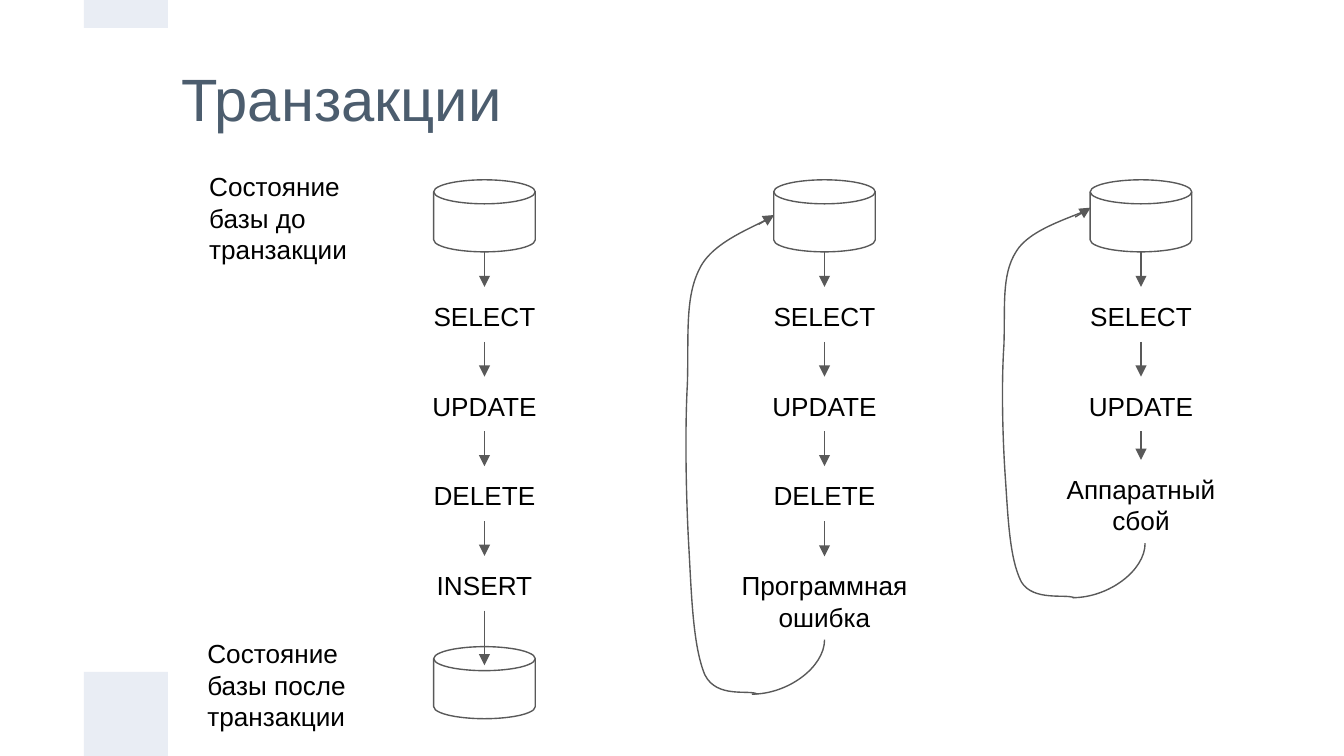
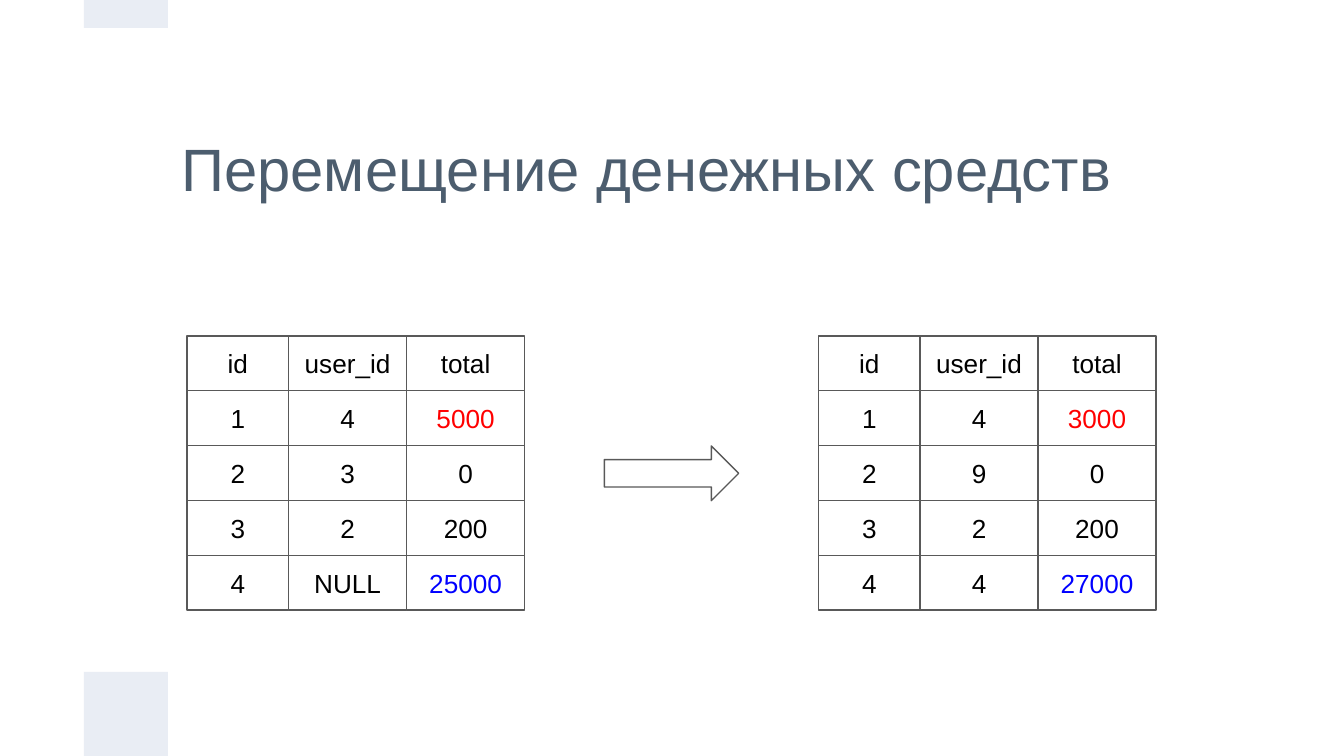
"""Build two slides on database transactions: step flows and a money transfer."""
import dataclasses
import typing

import lxml.etree
import pptx
import pptx.dml.color
import pptx.enum.shapes
import pptx.enum.text
import pptx.oxml.ns
import pptx.util

qn = pptx.oxml.ns.qn
SHAPE = pptx.enum.shapes.MSO_SHAPE
CONNECTOR = pptx.enum.shapes.MSO_CONNECTOR
ANCHOR = pptx.enum.text.MSO_ANCHOR
ALIGN = pptx.enum.text.PP_ALIGN

WIDTH, HEIGHT = pptx.util.Inches(10), pptx.util.Inches(5.625)
COLS, ROWS = 100, 56.25
COLORS = {"title": "4C5D6E", "band": "E9EDF4", "line": "595959",
          "text": "000000", "debit": "FF0000", "credit": "0000FF"}
FONT = "Arial"
LINE_WIDTH = pptx.util.Pt(0.75)
INSET = pptx.util.Inches(0.1)
FRAME = {"word_wrap": True, "auto_size": pptx.enum.text.MSO_AUTO_SIZE.NONE,
         "margin_left": INSET, "margin_right": INSET,
         "margin_top": INSET, "margin_bottom": INSET}
MIDDLE_FRAME = {**FRAME, "vertical_anchor": ANCHOR.MIDDLE}

STEP_TOP, STEP_GAP, STEP_H = 21.35, 6.67, 4.08
DISK_TOP, DISK_W, DISK_H = 13.38, 7.56, 5.36
STEP_W, FAIL_W, FAIL_H = 11.3, 16.4, 6.2
ROLLBACK = [(-5, 1), (-5.6, .99), (-8, 1.01), (-8.9, .96),
            (-9.8, .9), (-9.9, .79), (-10.1, .69),
            (-10.3, .59), (-10.4, .45), (-10.2, .35),
            (-10.1, .25), (-10.4, .17), (-9.3, .11),
            (-8.3, .05), (-4.9, .02), (-3.9, 0)]


class Box(typing.NamedTuple):
    """A rectangle in grid columns and rows."""
    left: float
    top: float
    width: float
    height: float

    def emu(self) -> list[int]:
        """Return the rectangle in slide lengths."""
        return [*emu(self.left, self.top), *emu(self.width, self.height)]


@dataclasses.dataclass(frozen=True)
class Flow:
    """A column of statements under a database disk."""
    center: float
    steps: tuple[str, ...]
    failure: str = ""
    fail_top: float = 0
    loop_top: float = 0
    loop_shift: float = 0


@dataclasses.dataclass(frozen=True)
class Account:
    """A grid of account rows and its left column."""
    left: float
    rows: tuple[tuple[str, ...], ...]


FLOWS = [
    Flow(36.05, ("SELECT", "UPDATE", "DELETE", "INSERT")),
    Flow(61.35, ("SELECT", "UPDATE", "DELETE"), "Программная ошибка", 41.4, 16.1),
    Flow(84.9, ("SELECT", "UPDATE"), "Аппаратный сбой", 34.22, 15.55, .3),
]
HEADER = ("id", "user_id", "total")
ACCOUNTS = [
    Account(13.92, (HEADER, ("1", "4", "5000"), ("2", "3", "0"),
                    ("3", "2", "200"), ("4", "NULL", "25000"))),
    Account(60.9, (HEADER, ("1", "4", "3000"), ("2", "9", "0"),
                   ("3", "2", "200"), ("4", "4", "27000"))),
]
CELL_WIDTHS, CELL_TOP, CELL_H = (7.56, 8.78, 8.78), 25, 4.08
CELL_COLORS = {(1, 2): "debit", (4, 2): "credit"}


def emu(x: float, y: float) -> tuple[int, int]:
    """Turn grid columns and rows into slide lengths."""
    return round(x * WIDTH / COLS), round(y * HEIGHT / ROWS)


def rgb(name: str) -> pptx.dml.color.RGBColor:
    """Look up a named colour."""
    return pptx.dml.color.RGBColor.from_string(COLORS[name])


def assign(obj: typing.Any, values: dict[str, typing.Any]) -> None:
    """Set every attribute of a format dict."""
    for name, value in values.items():
        setattr(obj, name, value)


def write(tf: typing.Any, text: str, size: float = 14, color: str = "text",
          align: typing.Any = ALIGN.CENTER) -> None:
    """Fill a text frame with one formatted paragraph."""
    p = tf.paragraphs[0]
    p.alignment = align
    r = p.add_run()
    r.text = text
    assign(r.font, {"name": FONT, "size": pptx.util.Pt(size)})
    r.font.color.rgb = rgb(color)


def outline(line: typing.Any) -> None:
    """Give a line the shared colour and width."""
    line.color.rgb = rgb("line")
    line.width = LINE_WIDTH


def add_text(slide: typing.Any, box: Box, text: str,
             align: typing.Any = ALIGN.CENTER) -> None:
    """Add a wrapped text box."""
    tf = slide.shapes.add_textbox(*box.emu()).text_frame
    assign(tf, FRAME)
    write(tf, text, align=align)


def hollow(sp: typing.Any) -> None:
    """Leave a shape with only its outline."""
    sp.shadow.inherit = False
    sp.fill.background()
    outline(sp.line)


def add_outlined(slide: typing.Any, kind: typing.Any, box: Box) -> typing.Any:
    """Add an unfilled preset shape."""
    sp = slide.shapes.add_shape(kind, *box.emu())
    hollow(sp)
    return sp


def add_line(slide: typing.Any, start: tuple[float, float], end: tuple[float, float],
             kind: typing.Any = CONNECTOR.STRAIGHT, arrow: bool = True) -> typing.Any:
    """Add a connector, with an arrowhead at its end if asked."""
    cxn = slide.shapes.add_connector(kind, *emu(*start), *emu(*end))
    outline(cxn.line)
    sp_pr = cxn._element.spPr
    if arrow:
        lxml.etree.SubElement(sp_pr.find(qn("a:ln")), qn("a:tailEnd"), type="triangle")
    lxml.etree.SubElement(sp_pr, qn("a:effectLst"))
    return cxn


def add_hook(slide: typing.Any, start: tuple[float, float],
             end: tuple[float, float]) -> None:
    """Add a quarter curve that leaves downwards and arrives leftwards."""
    mid_x, mid_y = (start[0] + end[0]) / 2, (start[1] + end[1]) / 2
    half_w, half_h = (end[1] - start[1]) / 2, (start[0] - end[0]) / 2
    cxn = add_line(slide, (mid_x - half_w, mid_y - half_h),
                   (mid_x + half_w, mid_y + half_h), CONNECTOR.CURVE, False)
    sp_pr = cxn._element.spPr
    sp_pr.find(qn("a:xfrm")).set("rot", "5400000")
    sp_pr.find(qn("a:prstGeom")).set("prst", "curvedConnector2")


def add_curve(slide: typing.Any, points: list[tuple[float, float]]) -> None:
    """Add an open curve from a start point and triples of Bezier points."""
    start, *rest = [emu(*point) for point in points]
    builder = slide.shapes.build_freeform(*start)
    builder.add_line_segments(rest, close=False)
    sp = builder.convert_to_shape()
    hollow(sp)
    track = sp._element.find(".//" + qn("a:path"))
    segments = track.findall(qn("a:lnTo"))
    for i in range(0, len(segments), 3):
        bezier = lxml.etree.SubElement(track, qn("a:cubicBezTo"))
        for segment in segments[i:i + 3]:
            bezier.append(segment[0])
            track.remove(segment)


def add_disk(slide: typing.Any, center: float, top: float) -> None:
    """Add a database disk centred on a column."""
    add_outlined(slide, SHAPE.FLOWCHART_MAGNETIC_DISK,
                 Box(center - DISK_W / 2, top, DISK_W, DISK_H))


def add_flow(slide: typing.Any, flow: Flow) -> None:
    """Draw a disk, its statements, and the commit or rollback."""
    x = flow.center
    add_disk(slide, x, DISK_TOP)
    bottom = DISK_TOP + DISK_H
    for i, step in enumerate(flow.steps):
        top = STEP_TOP + i * STEP_GAP
        add_text(slide, Box(x - STEP_W / 2, top, STEP_W, STEP_H), step)
        add_line(slide, (x, bottom), (x, top))
        bottom = top + STEP_H
    if not flow.failure:
        add_disk(slide, x, 48.12)
        add_line(slide, (x, bottom), (x, 49.5))
        return
    add_text(slide, Box(x - FAIL_W / 2, flow.fail_top, FAIL_W, FAIL_H), flow.failure)
    add_line(slide, (x, bottom), (x, flow.fail_top))
    fail_end = flow.fail_top + FAIL_H
    low, high = fail_end + 4.05, flow.loop_top
    add_hook(slide, (x + flow.loop_shift, fail_end), (x + flow.loop_shift - 5.4, low))
    add_curve(slide, [(x + dx, high + share * (low - high)) for dx, share in ROLLBACK])
    add_line(slide, (x - 4.9, high + .6), (x - 3.75, high - .1))


def add_account(slide: typing.Any, account: Account) -> None:
    """Draw an account as a grid of outlined cells."""
    for i, row in enumerate(account.rows):
        for j, text in enumerate(row):
            box = Box(account.left + sum(CELL_WIDTHS[:j]), CELL_TOP + i * CELL_H,
                      CELL_WIDTHS[j], CELL_H)
            tf = add_outlined(slide, SHAPE.RECTANGLE, box).text_frame
            assign(tf, MIDDLE_FRAME)
            write(tf, text, color=CELL_COLORS.get((i, j), "text"))


def add_slide(prs: typing.Any, title: str, box: Box) -> typing.Any:
    """Add a slide with its title and the two side bands."""
    slide = prs.slides.add_slide(prs.slide_layouts[0])
    subtitle = slide.placeholders[1]._element
    subtitle.getparent().remove(subtitle)
    sp = slide.shapes.title
    assign(sp, dict(zip(("left", "top", "width", "height"), box.emu())))
    assign(sp.text_frame, MIDDLE_FRAME)
    write(sp.text_frame, title, 32, "title", ALIGN.LEFT)
    for top, height in ((50, 6.25), (0, 2.08)):
        band = slide.shapes.add_shape(SHAPE.RECTANGLE, *Box(6.25, top, 6.25, height).emu())
        band.shadow.inherit = False
        band.fill.solid()
        band.fill.fore_color.rgb = rgb("band")
        band.line.fill.background()
    return slide


def main() -> None:
    """Build and save the presentation."""
    prs = pptx.Presentation()
    assign(prs, {"slide_width": WIDTH, "slide_height": HEIGHT})

    slide = add_slide(prs, "Транзакции", Box(12.5, 3.65, 75, 7.3))
    add_text(slide, Box(14.58, 11.7, 15.5, 8.7), "Состояние базы до транзакции", ALIGN.LEFT)
    add_text(slide, Box(14.44, 46.44, 15.5, 8.7), "Состояние базы после транзакции", ALIGN.LEFT)
    for flow in FLOWS:
        add_flow(slide, flow)

    slide = add_slide(prs, "Перемещение денежных средств", Box(12.5, 6.25, 75, 12.5))
    for account in ACCOUNTS:
        add_account(slide, account)
    add_outlined(slide, SHAPE.RIGHT_ARROW, Box(44.97, 33.18, 10, CELL_H))

    prs.save("out.pptx")


main()
